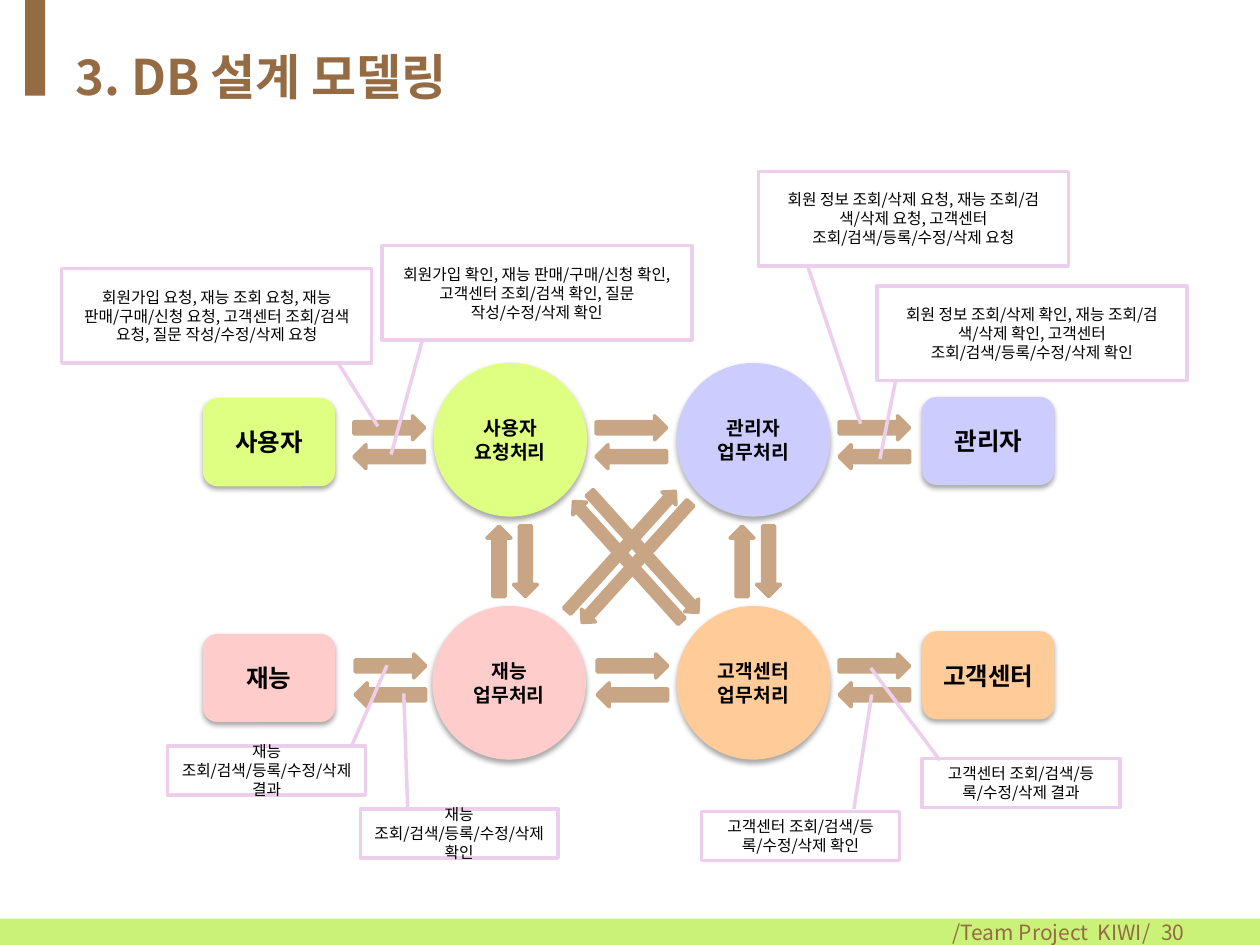
from typing import NamedTuple

from lxml import etree
from pptx import Presentation
from pptx import util as u
from pptx.dml.color import RGBColor
from pptx.enum import shapes as s, text as t
from pptx.oxml import ns

FONT = "Noto Sans CJK KR"
BROWN = RGBColor(0x95, 0x6B, 0x43)
TAN = RGBColor(0xC8, 0xA6, 0x85)
GREEN = RGBColor(0xCA, 0xF2, 0x78)
LIME = RGBColor(0xDF, 0xFF, 0x82)
LAVENDER = RGBColor(0xCC, 0xCC, 0xFF)
PINK = RGBColor(0xFF, 0xCC, 0xCC)
ORANGE = RGBColor(0xFF, 0xCC, 0x99)
LILAC = RGBColor(0xED, 0xCF, 0xED)
WHITE = RGBColor(0xFF, 0xFF, 0xFF)
BLACK = RGBColor(0, 0, 0)

SHAPE = s.MSO_SHAPE
ALIGN = t.PP_ALIGN
ARROW_SIZE = (40.3, 13.7)
DIAGONAL_SIZE = (92.2, 10.8)
ENTITY_SIZE = (75.6, 50.4)
PROCESS_SIZE = (87.8, 87.8)
LARGE_NOTE = (177.1, 54)
SMALL_NOTE = (113, 28.1)


class Arrow(NamedTuple):
    left: float
    top: float
    size: tuple = ARROW_SIZE
    angle: float = 0
    flip: str = ""


class Node(NamedTuple):
    label: str
    left: float
    top: float
    fill: RGBColor


class Note(NamedTuple):
    label: str
    left: float
    top: float
    size: tuple
    leader: tuple  # tip y, tip x, base y, base x as shares of the box


def write(shape, content: str, *, size: float, color=BLACK, bold=False,
          align=ALIGN.CENTER, wrap=True) -> None:
    frame = shape.text_frame
    frame.word_wrap = wrap
    frame.vertical_anchor = t.MSO_ANCHOR.MIDDLE
    frame.text = content
    for paragraph in frame.paragraphs:
        paragraph.alignment = align
        for run in paragraph.runs:
            run.font.size = u.Pt(size)
            run.font.bold = bold
            run.font.name = FONT
            run.font.color.rgb = color
            east_asian = etree.SubElement(run.font._element, ns.qn("a:ea"))
            east_asian.set("typeface", FONT)


def draw(slide, kind, left: float, top: float, size: tuple, fill: RGBColor,
         line: RGBColor | None = None):
    shape = slide.shapes.add_shape(kind, u.Pt(left), u.Pt(top), *map(u.Pt, size))
    shape.shadow.inherit = False
    shape.fill.solid()
    shape.fill.fore_color.rgb = fill
    if line is None:
        shape.line.fill.background()
    else:
        shape.line.color.rgb = line
        shape.line.width = u.Pt(2)
    return shape


def add_shadow(shape) -> None:
    effects = shape._element.spPr.find(ns.qn("a:effectLst"))
    shadow = etree.SubElement(effects, ns.qn("a:outerShdw"), blurRad=str(u.Pt(3.1)),
                              dist=str(u.Pt(1.8)), dir="5400000", rotWithShape="0")
    color = etree.SubElement(shadow, ns.qn("a:srgbClr"), val=str(BLACK))
    etree.SubElement(color, ns.qn("a:alpha"), val="35000")


def draw_arrow(slide, arrow: Arrow) -> None:
    shape = draw(slide, SHAPE.RIGHT_ARROW, arrow.left, arrow.top, arrow.size, TAN, TAN)
    shape.rotation = arrow.angle
    for axis in arrow.flip:
        shape._element.spPr.xfrm.set("flip" + axis.upper(), "1")


def draw_node(slide, node: Node, kind, size: tuple, font_size: float) -> None:
    shape = draw(slide, kind, node.left, node.top, size, node.fill)
    add_shadow(shape)
    write(shape, node.label, size=font_size, bold=True)


def draw_note(slide, note: Note) -> None:
    shape = draw(slide, SHAPE.LINE_CALLOUT_1, note.left, note.top, note.size, WHITE, LILAC)
    for index, share in enumerate(note.leader):
        shape.adjustments[index] = share
    write(shape, note.label, size=9)


def draw_footer(slide, content: str, left: float, width: float, align) -> None:
    box = slide.shapes.add_textbox(u.Pt(left), u.Pt(524.9), u.Pt(width), u.Pt(15.1))
    write(box, content, size=12, color=BROWN, align=align, wrap=False)


# Each exchange is a forward arrow and a backward arrow
ROWS = [(237.6, (202.3, 340.6, 479.5)), (373.7, (203, 341.3, 479.5))]
ARROWS = [arrow for top, lefts in ROWS for left in lefts
          for arrow in (Arrow(left, top), Arrow(left, top + 16.5, flip="h"))]
ARROWS += [arrow for left in (280.1, 419)
           for arrow in (Arrow(left, 313.9, angle=90),
                         Arrow(left - 15.1, 313.9, angle=90, flip="h"))]
ARROWS += [
    Arrow(312.5, 315.4, DIAGONAL_SIZE, 47.9, "h"),
    Arrow(317.5, 316.1, DIAGONAL_SIZE, 312.1, "hv"),
    Arrow(321.8, 310.3, DIAGONAL_SIZE, 47.9, "v"),
    Arrow(308.9, 309.6, DIAGONAL_SIZE, 312.1),
]

ENTITIES = [
    Node("사용자", 115.9, 227.5, LIME),
    Node("관리자", 527, 226.8, LAVENDER),
    Node("재능", 115.9, 362.2, PINK),
    Node("고객센터", 527, 360.7, ORANGE),
]
PROCESSES = [
    Node("사용자\n요청처리", 247.7, 207.4, LIME),
    Node("관리자\n업무처리", 386.6, 207.4, LAVENDER),
    Node("고객센터\n업무처리", 386.6, 346.3, ORANGE),
    Node("재능\n업무처리", 247, 346.3, PINK),
]
NOTES = [
    Note("회원가입 요청, 재능 조회 요청, 재능 판매/구매/신청 요청, 고객센터 조회/검색 요청, "
         "질문 작성/수정/삭제 요청", 35.3, 153.4, LARGE_NOTE, (1.67, 1.02, 0.99, 0.89)),
    Note("회원가입 확인, 재능 판매/구매/신청 확인, 고객센터 조회/검색 확인, "
         "질문 작성/수정/삭제 확인", 218.2, 140.4, LARGE_NOTE, (2.21, 0.03, 1.01, 0.13)),
    Note("회원 정보 조회/삭제 요청, 재능 조회/검색/삭제 요청, "
         "고객센터 조회/검색/등록/수정/삭제 요청", 433.4, 97.9, LARGE_NOTE,
         (2.67, 0.33, 1.01, 0.16)),
    Note("회원 정보 조회/삭제 확인, 재능 조회/검색/삭제 확인, "
         "고객센터 조회/검색/등록/수정/삭제 확인", 501.1, 163.4, LARGE_NOTE,
         (1.83, 0.01, 1.01, 0.06)),
    Note("재능 조회/검색/등록/수정/삭제 결과", 95.8, 426.2, SMALL_NOTE,
         (-1.64, 1.11, 0.01, 0.93)),
    Note("재능 조회/검색/등록/수정/삭제 확인", 205.9, 462.2, SMALL_NOTE,
         (-2.35, 0.22, 0.01, 0.24)),
    Note("고객센터 조회/검색/등록/수정/삭제 확인", 401, 463.7, SMALL_NOTE,
         (-2.38, 0.86, -0.05, 0.77)),
    Note("고객센터 조회/검색/등록/수정/삭제 결과", 527, 433.4, SMALL_NOTE,
         (-1.84, -0.26, 0.04, 0.09)),
]


def main() -> None:
    deck = Presentation()
    deck.slide_width, deck.slide_height = u.Pt(720), u.Pt(540)
    slide = deck.slides.add_slide(deck.slide_layouts[5])

    # Bands, title and footer
    draw(slide, SHAPE.RECTANGLE, 0, 524.9, (720, 15.1), GREEN)
    draw(slide, SHAPE.RECTANGLE, 14.4, 0, (11.5, 54.7), BROWN)
    title = slide.shapes.title
    title.left, title.top, title.width, title.height = map(u.Pt, (36, 21.6, 648, 43.9))
    write(title, "3. DB 설계 모델링", size=28, color=BROWN, bold=True, align=ALIGN.LEFT)
    draw_footer(slide, "/Team Project  KIWI/", 535.7, 130.3, ALIGN.CENTER)
    draw_footer(slide, "30", 649.4, 34.6, ALIGN.RIGHT)

    # Data flow diagram
    for arrow in ARROWS:
        draw_arrow(slide, arrow)
    for entity in ENTITIES:
        draw_node(slide, entity, SHAPE.ROUNDED_RECTANGLE, ENTITY_SIZE, 14)
    for process in PROCESSES:
        draw_node(slide, process, SHAPE.OVAL, PROCESS_SIZE, 11)
    for note in NOTES:
        draw_note(slide, note)

    deck.save("out.pptx")


if __name__ == "__main__":
    main()
